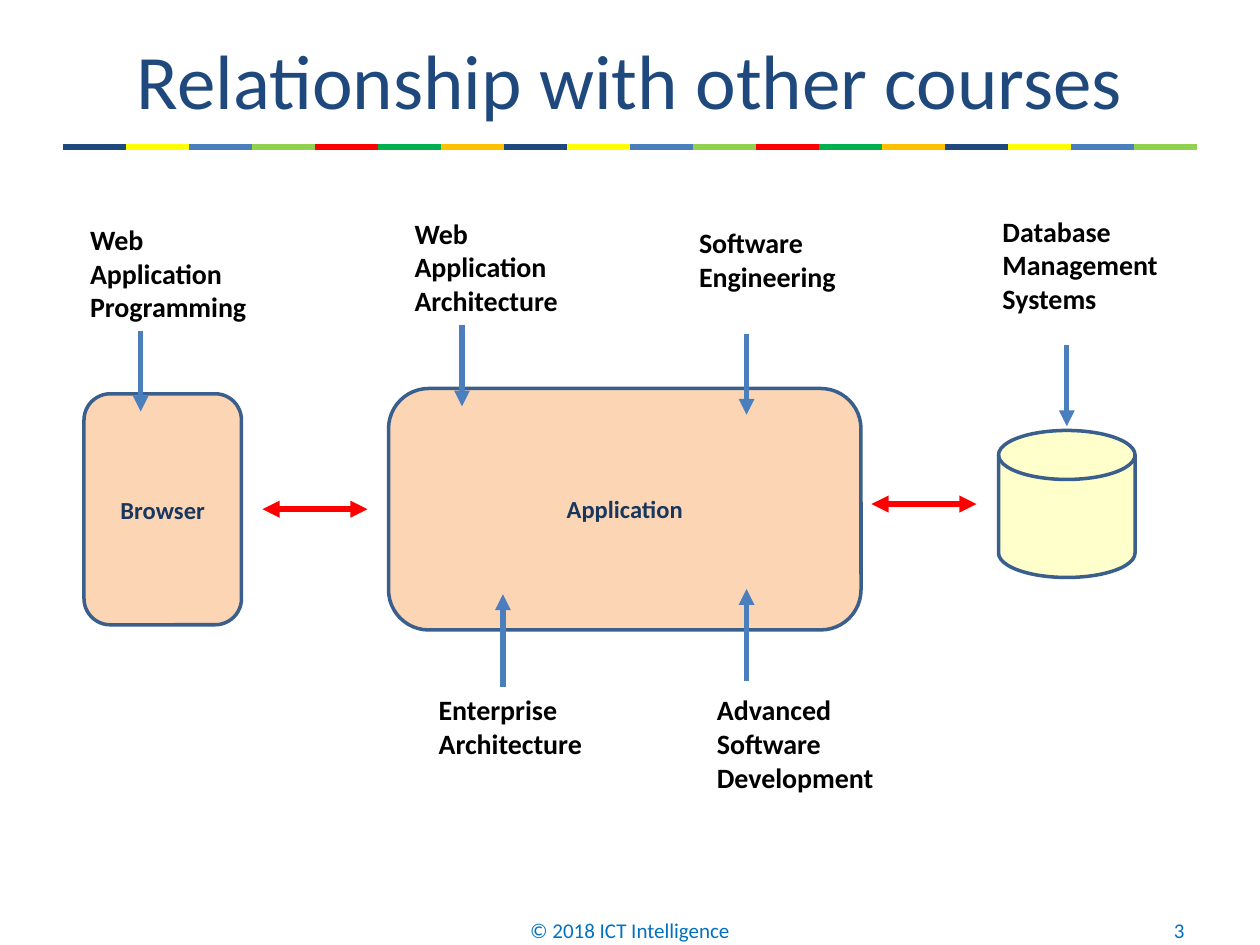
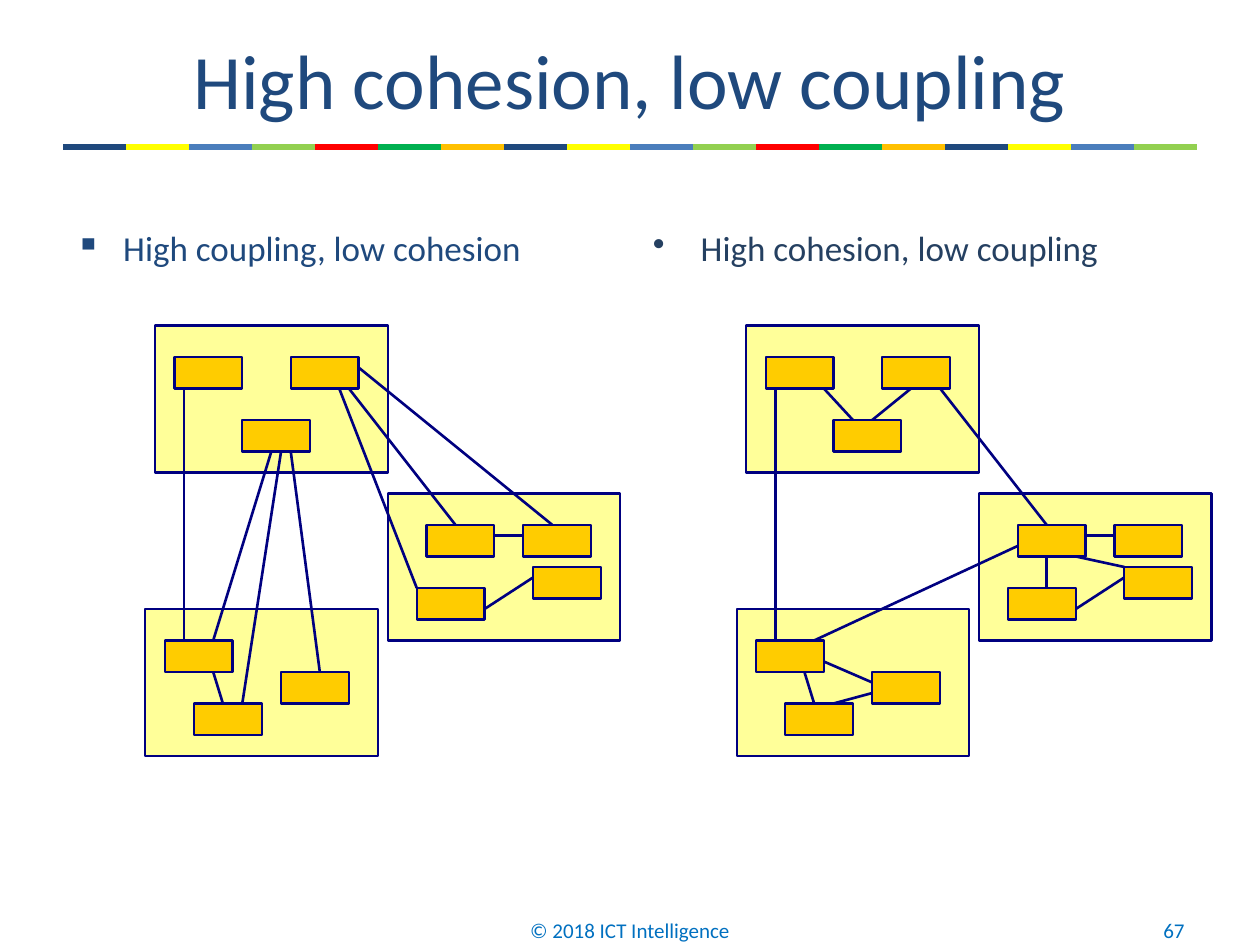
from dataclasses import dataclass

from lxml.etree import SubElement
from pptx import Presentation
from pptx.dml.color import RGBColor
from pptx.enum.shapes import MSO_CONNECTOR, MSO_SHAPE
from pptx.enum.text import MSO_ANCHOR, MSO_AUTO_SIZE, PP_ALIGN
from pptx.oxml.ns import qn
from pptx.util import Inches, Pt

FONT = "Calibri"
SLIDE_WIDTH = Inches(10)
SLIDE_HEIGHT = Inches(7.5)
FOOTER = "© 2018 ICT Intelligence"

NAVY = RGBColor(0x1F, 0x49, 0x7D)
DARK_NAVY = RGBColor(0x17, 0x37, 0x5E)
SLATE = RGBColor(0x25, 0x40, 0x61)
STEEL = RGBColor(0x4B, 0x7E, 0xBC)
OUTLINE = RGBColor(0x3A, 0x5F, 0x8C)
FOOTER_BLUE = RGBColor(0x00, 0x70, 0xC0)
BLACK = RGBColor(0x00, 0x00, 0x00)
RED = RGBColor(0xFF, 0x00, 0x00)
YELLOW = RGBColor(0xFF, 0xFF, 0x00)
LIME = RGBColor(0x92, 0xD0, 0x50)
GREEN = RGBColor(0x00, 0xB0, 0x50)
AMBER = RGBColor(0xFF, 0xC0, 0x00)
PEACH = RGBColor(0xFC, 0xD5, 0xB5)
CREAM = RGBColor(0xFF, 0xFF, 0xCC)
PACKAGE_FILL = RGBColor(0xFF, 0xFF, 0x99)
COMPONENT_FILL = RGBColor(0xFF, 0xCC, 0x00)
DIAGRAM_LINE = RGBColor(0x00, 0x00, 0x80)
STRIPES = [NAVY, YELLOW, STEEL, LIME, RED, GREEN, AMBER]


@dataclass
class Grid:
    """Divides the slide into columns and rows, counted from an origin cell."""
    columns: int
    rows: int
    first_column: float = 0
    first_row: float = 0

    def point(self, column, row):
        return (round(SLIDE_WIDTH * (self.first_column + column) / self.columns),
                round(SLIDE_HEIGHT * (self.first_row + row) / self.rows))

    def box(self, column, row, width, height):
        left, top = self.point(column, row)
        right, bottom = self.point(column + width, row + height)
        return left, top, right - left, bottom - top


PAGE = Grid(120, 90)
STRIPE_GRID = Grid(20, 90)

# Packages, components and links are in cells of the diagram's own grid.
PACKAGE_SIZE = (24, 14)
COMPONENT_SIZE = (7, 3)
PACKAGES = [(1, 0), (25, 16), (0, 27)]
COMPONENTS = [(3, 3), (15, 3), (10, 9), (29, 19), (39, 19), (28, 25),
              (40, 23), (2, 30), (14, 33), (5, 36)]
SHARED_LINKS = [(4, 6, 4, 30), (21, 6, 32, 19), (35, 27, 40, 24),
                (36, 20, 39, 20), (7, 33, 8, 36)]
HIGH_COUPLING_LINKS = [(13, 12, 7, 30), (14, 12, 10, 36), (15, 12, 18, 33),
                       (20, 6, 28, 25), (22, 4, 42, 19)]
HIGH_COHESION_LINKS = [(14, 34, 9, 32), (14, 35, 10, 36), (9, 6, 12, 9),
                       (18, 6, 14, 9), (32, 22, 32, 25), (35, 22, 40, 23),
                       (8, 30, 29, 21)]

# Column, row and width of each course label, then its lines.
COURSES = [
    (94.3, 19.8, 18, ["Database", "Management", "Systems"]),
    (40.6, 65.4, 16.3, ["Enterprise", "Architecture"]),
    (38.3, 20, 16.3, ["Web", "Application", "Architecture"]),
    (7.4, 20.6, 17.5, ["Web", "Application", "Programming"]),
    (67.1, 65.4, 17.5, ["Advanced", "Software", "Development"]),
    (65.4, 20.9, 15.6, ["Software", "Engineering"]),
]
DOWN_ARROWS = [(13.4, 31.5), (44, 31), (101.6, 32.9), (71.1, 31.8)]
UP_ARROWS = [(71.1, 64.9), (47.9, 65.4)]
DOWN_LENGTH = 7.7
UP_LENGTH = 8.8


def style_paragraph(paragraph, size, color, bold=False, align=PP_ALIGN.LEFT):
    paragraph.alignment = align
    font = paragraph.font
    font.name, font.size, font.bold = FONT, Pt(size), bold
    font.color.rgb = color


def add_text(slide, box, lines, size, color, bold=False, align=PP_ALIGN.LEFT,
             anchor=MSO_ANCHOR.MIDDLE):
    frame = slide.shapes.add_textbox(*PAGE.box(*box)).text_frame
    frame.word_wrap = True
    frame.vertical_anchor = anchor
    frame.text = "\n".join(lines)
    for paragraph in frame.paragraphs:
        style_paragraph(paragraph, size, color, bold, align)
    return frame


def add_course_label(slide, column, row, width, lines):
    height = 1.2 + 3.24 * len(lines)
    frame = add_text(slide, (column, row, width, height), lines, 16, BLACK,
                     bold=True, anchor=MSO_ANCHOR.TOP)
    frame.word_wrap = False
    frame.auto_size = MSO_AUTO_SIZE.SHAPE_TO_FIT_TEXT


def add_bullet(slide, column, text, mark, color):
    frame = slide.shapes.add_textbox(*PAGE.box(column, 21, 53, 59.4)).text_frame
    frame.word_wrap = True
    paragraph = frame.paragraphs[0]
    paragraph.text = text
    properties = paragraph._p.get_or_add_pPr()
    properties.set("marL", str(Inches(0.38)))
    properties.set("indent", str(Inches(-0.38)))
    SubElement(properties, qn("a:buChar")).set("char", mark)
    style_paragraph(paragraph, 20, color)


def add_box(slide, kind, box, fill, line, line_width, text=""):
    shape = slide.shapes.add_shape(kind, *box)
    shape.shadow.inherit = False
    shape.fill.solid()
    shape.fill.fore_color.rgb = fill
    shape.line.color.rgb = line
    shape.line.width = Pt(line_width)
    if text:
        paragraph = shape.text_frame.paragraphs[0]
        paragraph.text = text
        style_paragraph(paragraph, 14, DARK_NAVY, True, PP_ALIGN.CENTER)


def add_line(slide, grid, ends, color, width, arrowheads=()):
    """Draws a line; arrowheads may hold "headEnd" (start) and "tailEnd" (end)."""
    start, end = grid.point(*ends[:2]), grid.point(*ends[2:])
    connector = slide.shapes.add_connector(MSO_CONNECTOR.STRAIGHT, *start, *end)
    connector.line.color.rgb = color
    connector.line.width = Pt(width)
    for end_name in arrowheads:
        SubElement(connector.line._ln, qn(f"a:{end_name}")).set("type", "triangle")
    SubElement(connector._element.spPr, qn("a:effectLst"))


def add_page(presentation, title, number):
    slide = presentation.slides.add_slide(presentation.slide_layouts[6])
    for column in range(1, 19):
        color = STRIPES[(column - 1) % len(STRIPES)]
        add_line(slide, STRIPE_GRID, (column, 14, column + 1, 14), color, 3.5)
    add_text(slide, (6, 2, 108, 11), [title], 44, NAVY, align=PP_ALIGN.CENTER)
    add_text(slide, (41, 86.2, 38, 4.8), [FOOTER], 12, FOOTER_BLUE,
             align=PP_ALIGN.CENTER)
    add_text(slide, (86, 86.2, 28, 4.8), [str(number)], 12, FOOTER_BLUE,
             align=PP_ALIGN.RIGHT)
    return slide


def add_courses_slide(presentation):
    slide = add_page(presentation, "Relationship with other courses", 3)
    for kind, box, fill, text in [
        (MSO_SHAPE.ROUNDED_RECTANGLE, (37, 37, 45, 23), PEACH, "Application"),
        (MSO_SHAPE.ROUNDED_RECTANGLE, (8, 37.5, 15, 22), PEACH, "Browser"),
        (MSO_SHAPE.FLOWCHART_MAGNETIC_DISK, (95.1, 41, 13, 14), CREAM, ""),
    ]:
        add_box(slide, kind, PAGE.box(*box), fill, OUTLINE, 2, text)
    for column, row in [(25, 48.5), (83, 48)]:
        add_line(slide, PAGE, (column, row, column + 10, row), RED, 3.25,
                 ("headEnd", "tailEnd"))
    for course in COURSES:
        add_course_label(slide, *course)
    for arrows, length in [(DOWN_ARROWS, DOWN_LENGTH), (UP_ARROWS, -UP_LENGTH)]:
        for column, row in arrows:
            add_line(slide, PAGE, (column, row, column, row + length), STEEL, 3,
                     ("tailEnd",))


def add_package_diagram(slide, first_column, links):
    grid = Grid(130, 90, first_column, 31)
    for places, size, fill in [(PACKAGES, PACKAGE_SIZE, PACKAGE_FILL),
                               (COMPONENTS, COMPONENT_SIZE, COMPONENT_FILL)]:
        for place in places:
            add_box(slide, MSO_SHAPE.RECTANGLE, grid.box(*place, *size), fill,
                    DIAGRAM_LINE, 1.25)
    for link in SHARED_LINKS + links:
        add_line(slide, grid, link, DIAGRAM_LINE, 1.5)


def add_cohesion_slide(presentation):
    slide = add_page(presentation, "High cohesion, low coupling", 67)
    add_bullet(slide, 6, "High coupling, low cohesion", "▪", NAVY)
    add_bullet(slide, 61, "High cohesion, low coupling", "•", SLATE)
    add_package_diagram(slide, 15, HIGH_COUPLING_LINKS)
    add_package_diagram(slide, 76, HIGH_COHESION_LINKS)


def main():
    presentation = Presentation()
    presentation.slide_width = SLIDE_WIDTH
    presentation.slide_height = SLIDE_HEIGHT
    add_courses_slide(presentation)
    add_cohesion_slide(presentation)
    presentation.save("out.pptx")


if __name__ == "__main__":
    main()
